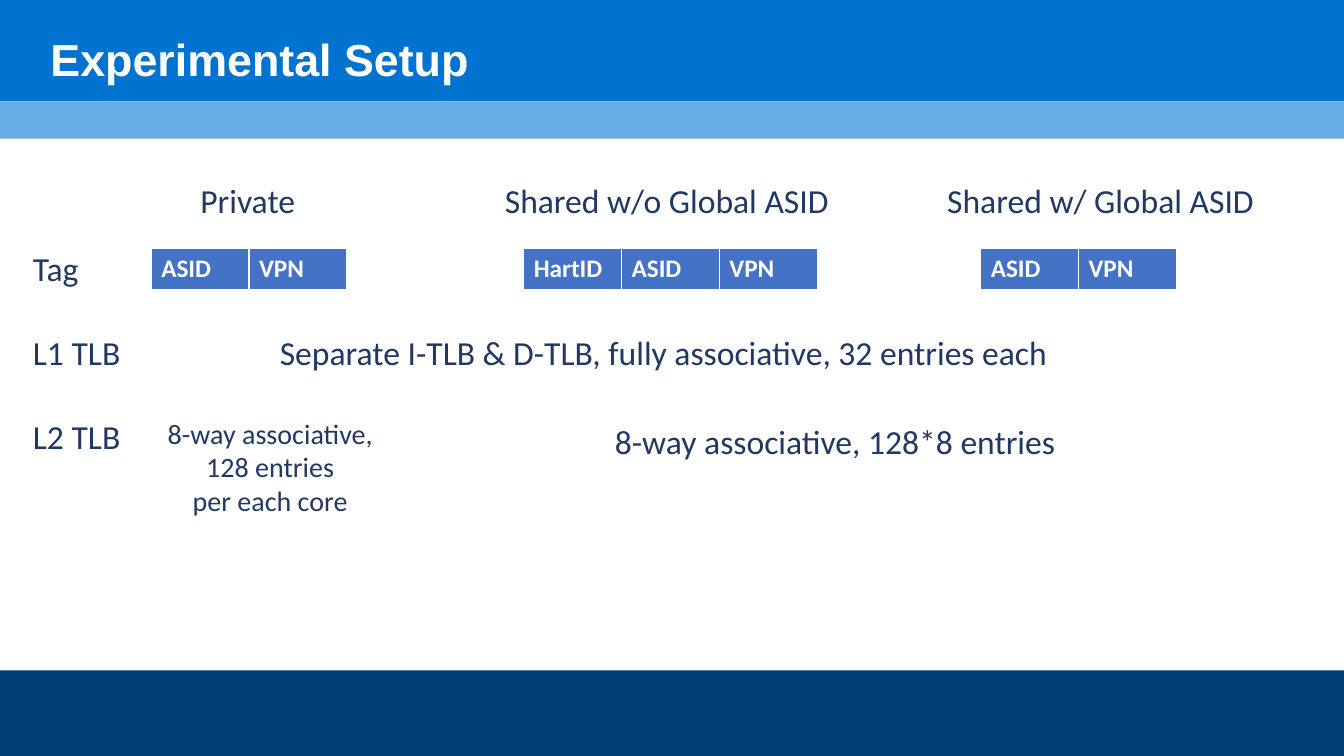
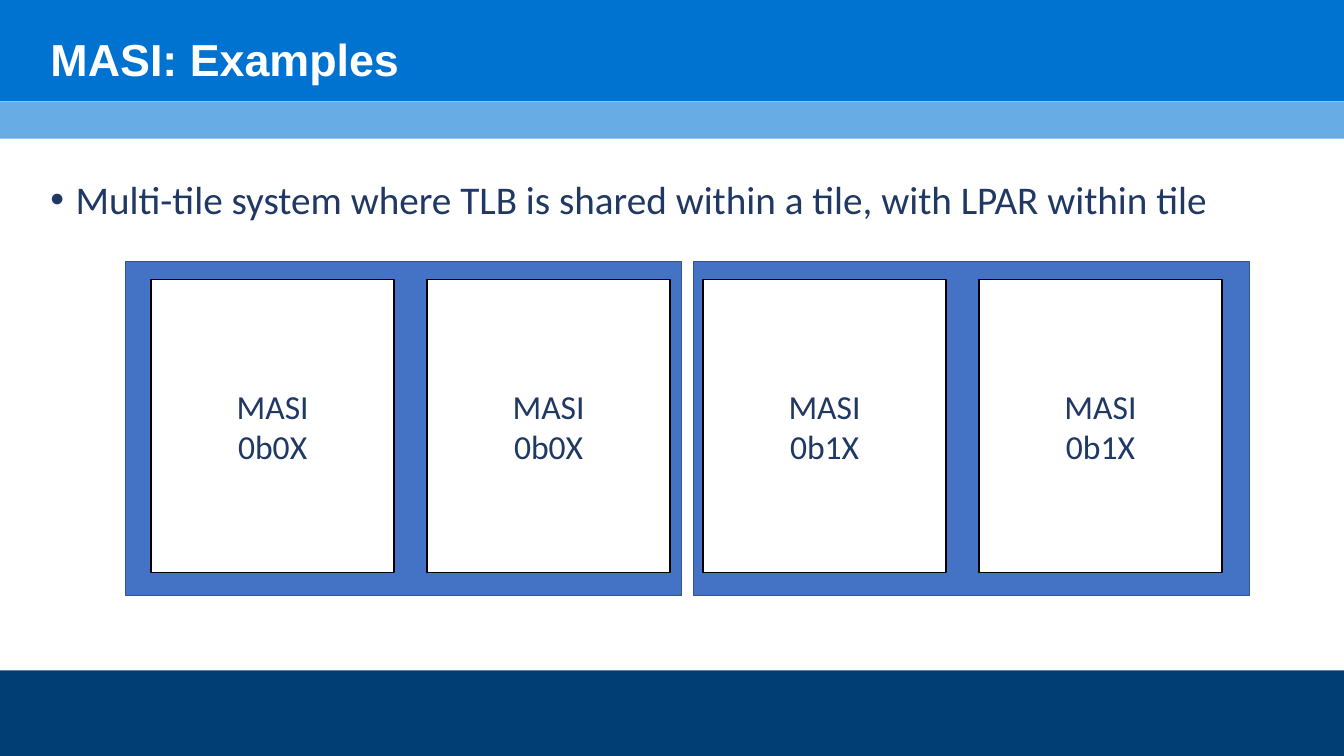
from lxml import etree
from pptx import Presentation
from pptx.dml.color import RGBColor
from pptx.enum.shapes import MSO_SHAPE
from pptx.enum.text import MSO_ANCHOR, PP_ALIGN
from pptx.oxml.ns import qn
from pptx.util import Pt

RECTANGLE = MSO_SHAPE.RECTANGLE
LEFT, CENTER = PP_ALIGN.LEFT, PP_ALIGN.CENTER
TOP, MIDDLE = MSO_ANCHOR.TOP, MSO_ANCHOR.MIDDLE

WHITE, BLACK, NAVY = "FFFFFF", "000000", "203864"
BLUE, BLUE_EDGE = "4472C4", "325491"
TITLE_FONT, BODY_FONT = "Arial", "Calibri"
SLIDE_WIDTH, SLIDE_HEIGHT = 960, 540
BANDS = [(0, 72.5, "0072CF"), (72.5, 26.5, "68ACE5"), (478.8, 61.2, "003E74")]

SETUP_TITLE = "Experimental Setup"
HEADINGS = [
    ("Private", 136, 216),
    ("Shared w/o Global ASID", 353.5, 254),
    ("Shared w/ Global ASID", 669.5, 246),
]
TAGS = [
    (["ASID", "VPN"], 108),
    (["HartID", "ASID", "VPN"], 374.1),
    (["ASID", "VPN"], 700.5),
]
ROW_LABELS = ["Tag", "L1 TLB", "L2 TLB"]
ENTRIES = [
    (["Separate I-TLB & D-TLB, fully associative, 32 entries each"], (108, 233.8, 732, 36), 24),
    (["8-way associative, 128 entries", "per each core"], (108, 293.8, 170, 80), 20),
    (["8-way associative, 128*8 entries"], (353.5, 297, 486, 36), 24),
]

EXAMPLES_TITLE = "MASI: Examples"
EXAMPLES_BULLET = "Multi-tile system where TLB is shared within a tile, with LPAR within tile"
TILE_COUNT = 2
CARDS = [["MASI", code] for code in ("0b0X", "0b0X", "0b1X", "0b1X")]


def color(value):
    return RGBColor.from_string(value)


def write(frame, lines, size, ink=NAVY, font=BODY_FONT, bold=False, align=LEFT, anchor=TOP):
    frame.word_wrap = True
    frame.vertical_anchor = anchor
    frame.text = "\n".join(lines)
    for paragraph in frame.paragraphs:
        paragraph.alignment = align
        for run in paragraph.runs:
            run.font.size = Pt(size)
            run.font.name = font
            run.font.bold = bold
            run.font.color.rgb = color(ink)


def add_text(slide, lines, box, size, tight=False, **style):
    frame = slide.shapes.add_textbox(*map(Pt, box)).text_frame
    write(frame, lines, size, **style)
    if tight:
        for paragraph in frame.paragraphs:
            paragraph.line_spacing = 0.9
            paragraph.space_before = Pt(10)
    return frame


def add_box(slide, box, fill, edge=None):
    shape = slide.shapes.add_shape(RECTANGLE, *map(Pt, box))
    shape.shadow.inherit = False
    shape.fill.solid()
    shape.fill.fore_color.rgb = color(fill)
    if edge:
        shape.line.color.rgb = color(edge)
        shape.line.width = Pt(1)
    else:
        shape.line.fill.background()
    return shape


def add_slide(presentation, title):
    slide = presentation.slides.add_slide(presentation.slide_layouts[6])
    for top, height, fill in BANDS:
        add_box(slide, (0, top, SLIDE_WIDTH, height), fill)
    add_text(slide, [title], (29, 18.5, 900, 51), 32, tight=True,
             ink=WHITE, font=TITLE_FONT, bold=True, anchor=MIDDLE)
    return slide


def add_tag(slide, fields, left):
    column_width, height = 69.9, 29
    table = slide.shapes.add_table(
        1, len(fields), Pt(left), Pt(177.8), Pt(column_width * len(fields)), Pt(height)).table
    for index, field in enumerate(fields):
        table.columns[index].width = Pt(column_width)
        cell = table.cell(0, index)
        cell.fill.solid()
        cell.fill.fore_color.rgb = color(BLUE)
        write(cell.text_frame, [field], 18, ink=WHITE, bold=True)


def add_bullet(paragraph, indent):
    properties = paragraph._p.get_or_add_pPr()
    properties.set("marL", str(Pt(indent)))
    properties.set("indent", str(-Pt(indent)))
    font = etree.SubElement(properties, qn("a:buFont"))
    font.set("typeface", TITLE_FONT)
    etree.SubElement(properties, qn("a:buChar")).set("char", "•")


def build_setup(presentation):
    slide = add_slide(presentation, SETUP_TITLE)
    for heading, left, width in HEADINGS:
        add_text(slide, [heading], (left, 128, width, 33), 24, tight=True)
    for fields, left in TAGS:
        add_tag(slide, fields, left)
    for index, label in enumerate(ROW_LABELS):
        add_text(slide, [label], (16.4, 173.6 + 60.1 * index, 84, 36), 24)
    for lines, box, size in ENTRIES:
        add_text(slide, lines, box, size, align=CENTER)


def build_examples(presentation):
    slide = add_slide(presentation, EXAMPLES_TITLE)
    body = add_text(slide, [EXAMPLES_BULLET], (29, 125.3, 900, 46), 28, tight=True)
    add_bullet(body.paragraphs[0], 18)
    for index in range(TILE_COUNT):
        add_box(slide, (89.7 + 405.5 * index, 187, 397.2, 238.5), BLUE, BLUE_EDGE)
    for index, lines in enumerate(CARDS):
        card = add_box(slide, (108 + 197.1 * index, 199.5, 173.6, 209.5), WHITE, BLACK)
        write(card.text_frame, lines, 24, align=CENTER, anchor=MIDDLE)


def main():
    presentation = Presentation()
    presentation.slide_width = Pt(SLIDE_WIDTH)
    presentation.slide_height = Pt(SLIDE_HEIGHT)
    build_setup(presentation)
    build_examples(presentation)
    presentation.save("out.pptx")


if __name__ == "__main__":
    main()
